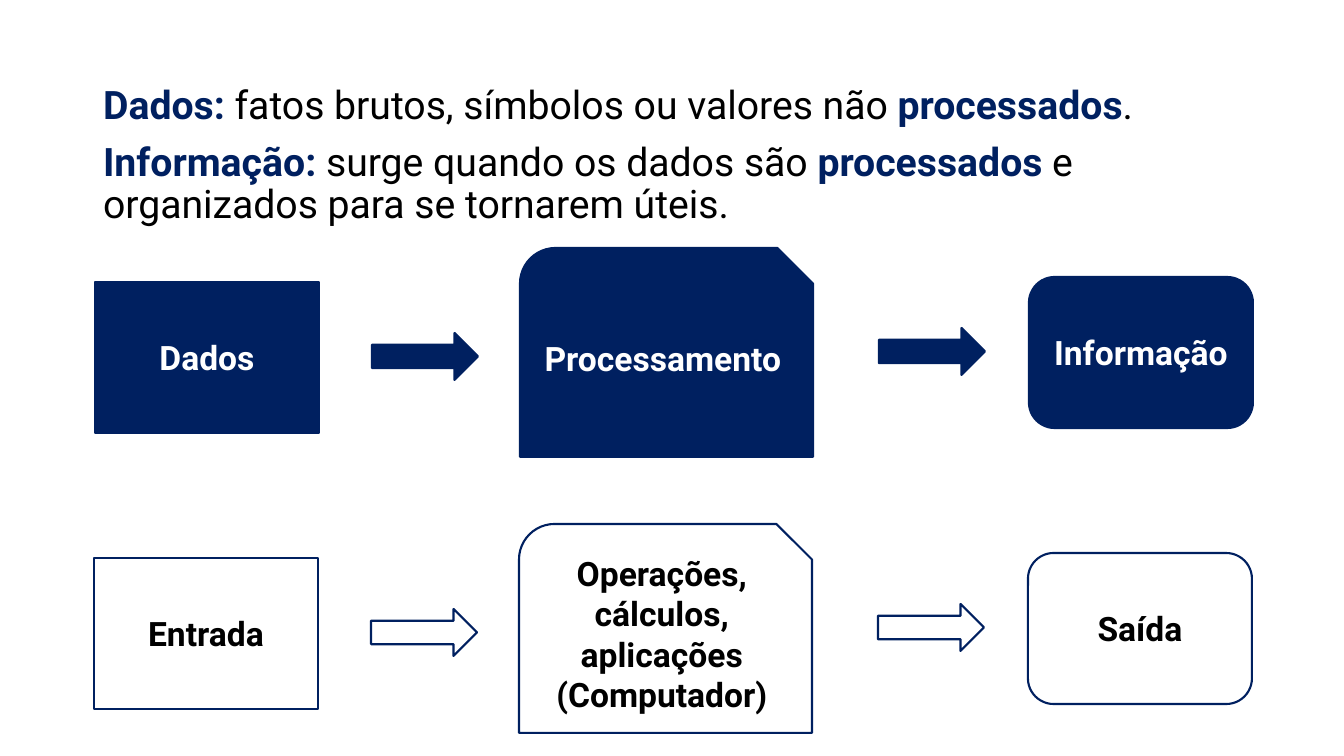
from lxml.etree import SubElement
from pptx import Presentation
from pptx.dml.color import RGBColor
from pptx.enum.shapes import MSO_SHAPE
from pptx.enum.text import MSO_ANCHOR, MSO_AUTO_SIZE, PP_ALIGN
from pptx.oxml.ns import qn
from pptx.util import Pt

# Content: a definition is a list of (text, is a key term)
DEFINITIONS = [
    [("Dados: ", True), ("fatos brutos, símbolos ou valores não ", False),
     ("processados", True), (".", False)],
    [("Informação: ", True), ("surge quando os dados são ", False),
     ("processados", True), (" e organizados para se tornarem úteis.", False)],
]
FLOWS = [
    {"texts": [["Dados"], [], ["Processamento"], [], ["Informação"]],
     "offset": (0, 0), "fill": "navy", "text": "white"},
    {"texts": [["Entrada"], [], ["Operações, cálculos, aplicações", "(Computador)"],
               [], ["Saída"]],
     "offset": (-1, 276), "fill": None, "text": "black"},
]

# Steps of a flow: preset, adjustments, left, top, width, height in px
STEPS = [
    (MSO_SHAPE.RECTANGLE, [], 95, 282, 224, 151),
    (MSO_SHAPE.RIGHT_ARROW, [0.5, 0.5], 372, 333, 106, 47),
    (MSO_SHAPE.SNIP_ROUND_RECTANGLE, [0.17, 0.17], 520, 248, 293, 209),
    (MSO_SHAPE.RIGHT_ARROW, [0.5, 0.5], 879, 328, 106, 47),
    (MSO_SHAPE.ROUNDED_RECTANGLE, [0.17], 1029, 277, 224, 151),
]
BODY_BOX = (93, 81, 1159, 217)
COLORS = {"navy": "002060", "white": "FFFFFF", "black": "000000"}
FONT = {"name": "Roboto"}


def px(length):
    return round(length * 914400 / 100.8)


def color(name):
    return RGBColor.from_string(COLORS[name])


def add_run(paragraph, text, color_name, **values):
    run = paragraph.add_run()
    run.text = text
    for attribute, value in {**FONT, **values}.items():
        setattr(run.font, attribute, value)
    run.font.color.rgb = color(color_name)


def get_paragraph(frame, index):
    return frame.add_paragraph() if index else frame.paragraphs[0]


def fill_body(body):
    body.left, body.top, body.width, body.height = map(px, BODY_BOX)
    frame = body.text_frame
    frame.auto_size = MSO_AUTO_SIZE.NONE
    frame.vertical_anchor = MSO_ANCHOR.TOP
    for index, definition in enumerate(DEFINITIONS):
        paragraph = get_paragraph(frame, index)
        properties = paragraph._p.get_or_add_pPr()
        properties.set("marL", "0")
        properties.set("indent", "0")
        SubElement(properties, qn("a:buNone"))
        paragraph.line_spacing = 0.9
        paragraph.space_before = Pt(10 if index else 0)
        for text, is_term in definition:
            add_run(paragraph, text, "navy" if is_term else "black",
                    size=Pt(28), bold=is_term)


def add_step(slide, step, lines, flow):
    preset, adjustments, left, top, width, height = step
    shift_x, shift_y = flow["offset"]
    shape = slide.shapes.add_shape(
        preset, px(left + shift_x), px(top + shift_y), px(width), px(height))
    for index, value in enumerate(adjustments):
        shape.adjustments[index] = value
    shape.shadow.inherit = False
    if flow["fill"]:
        shape.fill.solid()
        shape.fill.fore_color.rgb = color(flow["fill"])
    else:
        shape.fill.background()
    shape.line.color.rgb = color("navy")
    shape.line.width = Pt(1.5)

    frame = shape.text_frame
    frame.word_wrap = True
    frame.vertical_anchor = MSO_ANCHOR.MIDDLE
    for index, line in enumerate(lines):
        paragraph = get_paragraph(frame, index)
        paragraph.alignment = PP_ALIGN.CENTER
        add_run(paragraph, line, flow["text"], size=Pt(24), bold=True)


def main():
    presentation = Presentation()
    presentation.slide_width = px(1344)
    presentation.slide_height = px(756)
    slide = presentation.slides.add_slide(presentation.slide_layouts[1])

    # Definitions
    title = slide.shapes.title._element
    title.getparent().remove(title)
    fill_body(slide.placeholders[1])

    # Flows
    for flow in FLOWS:
        for step, lines in zip(STEPS, flow["texts"]):
            add_step(slide, step, lines, flow)

    presentation.save("out.pptx")


if __name__ == "__main__":
    main()
